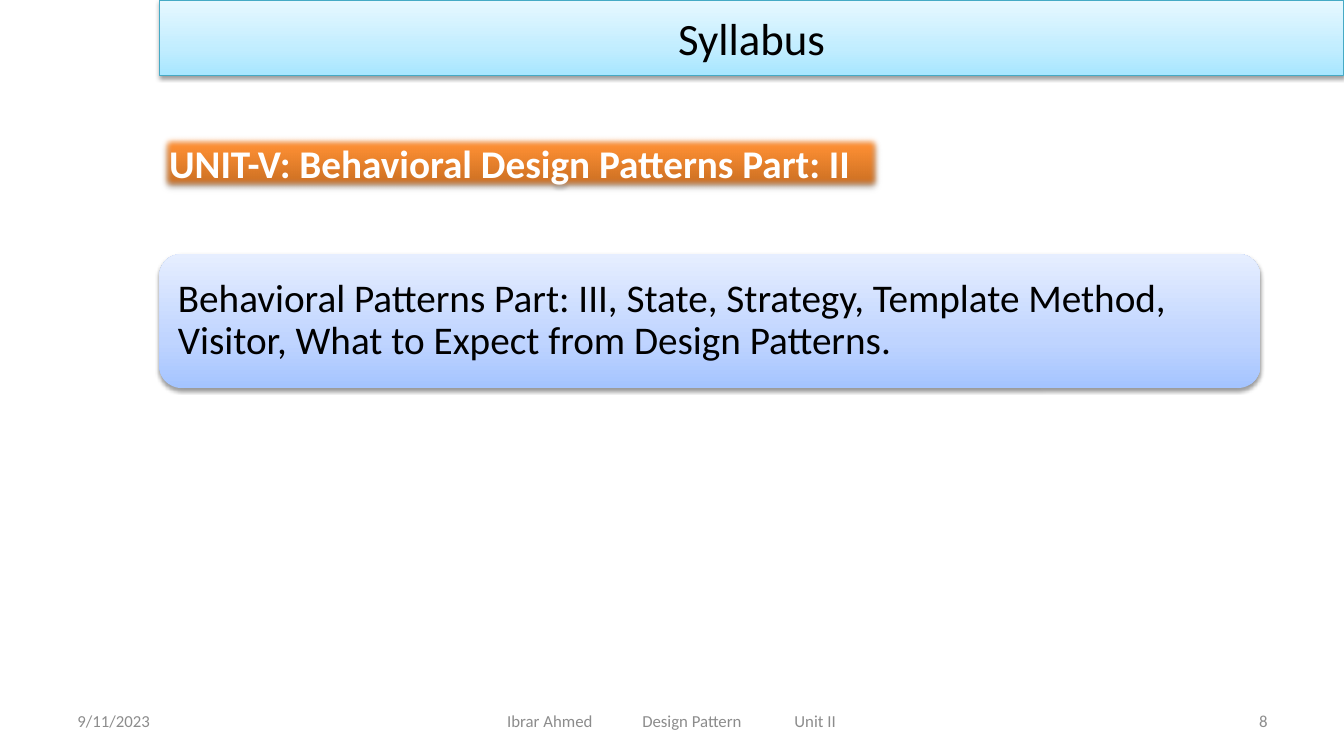
from lxml import etree
from pptx import Presentation
from pptx.dml.color import RGBColor
from pptx.enum.shapes import MSO_SHAPE
from pptx.enum.text import MSO_ANCHOR, PP_ALIGN
from pptx.oxml.ns import qn
from pptx.util import Inches, Pt

BLACK = RGBColor(0x00, 0x00, 0x00)
WHITE = RGBColor(0xFF, 0xFF, 0xFF)
GRAY = RGBColor(0x8C, 0x8C, 0x8C)
TEAL = RGBColor(0x46, 0xAA, 0xC5)
# Gradient stops run from the bottom edge to the top: (percent, colour)
AQUA = [(0, RGBColor(0xA7, 0xE6, 0xFF)), (35, RGBColor(0xC1, 0xED, 0xFF)),
        (100, RGBColor(0xE7, 0xF8, 0xFF))]
ORANGE = [(0, RGBColor(0xC2, 0x69, 0x1F)), (80, RGBColor(0xFF, 0x90, 0x34)),
          (100, RGBColor(0xFF, 0x91, 0x36))]
BLUE = [(0, RGBColor(0xA4, 0xC4, 0xFF)), (35, RGBColor(0xBF, 0xD4, 0xFF)),
        (100, RGBColor(0xE6, 0xEE, 0xFF))]
RECT, ROUNDED = MSO_SHAPE.RECTANGLE, MSO_SHAPE.ROUNDED_RECTANGLE
MIDDLE, TOP = MSO_ANCHOR.MIDDLE, MSO_ANCHOR.TOP
LEFT, CENTER, RIGHT = PP_ALIGN.LEFT, PP_ALIGN.CENTER, PP_ALIGN.RIGHT
JUSTIFY = PP_ALIGN.JUSTIFY


def write(sp, text, size, color, align, anchor=MIDDLE):
    tf = sp.text_frame
    tf.word_wrap = True
    tf.vertical_anchor = anchor
    p = tf.paragraphs[0]
    p.text = text
    p.alignment = align
    p.font.name = "Calibri"
    p.font.size = Pt(size)
    p.font.color.rgb = color
    return p


def add_panel(kind, box, stops, alpha, distance):
    sp = s.shapes.add_shape(kind, *[Inches(v) for v in box])
    sp.line.fill.background()
    sp.fill.gradient()
    sp.fill.gradient_angle = 90
    gs_list = sp._element.spPr.find(".//" + qn("a:gsLst"))
    gs_list.clear()
    for percent, color in stops:
        gs = etree.SubElement(gs_list, qn("a:gs"), pos=str(percent * 1000))
        etree.SubElement(gs, qn("a:srgbClr"), val=str(color))
    sp.shadow.inherit = False
    effects = sp._element.spPr.find(qn("a:effectLst"))
    shadow = etree.SubElement(effects, qn("a:outerShdw"), blurRad=str(Pt(3.1)),
                              dist=str(Pt(distance)), dir="5400000", rotWithShape="0")
    color = etree.SubElement(shadow, qn("a:srgbClr"), val=str(BLACK))
    etree.SubElement(color, qn("a:alpha"), val=str(alpha * 1000))
    return sp, effects


prs = Presentation()
prs.slide_width, prs.slide_height = Inches(13.33), Inches(7.5)
s = prs.slides.add_slide(prs.slide_layouts[6])

# Title bar
title, _ = add_panel(RECT, (1.58, 0, 11.75, 0.75), AQUA, 38, 1.6)
title.line.color.rgb = TEAL
title.line.width = Pt(0.75)
write(title, "Syllabus", 32, BLACK, CENTER)

# Unit heading with soft edges
unit, effects = add_panel(RECT, (1.58, 1.33, 7.17, 0.57), ORANGE, 35, 1.8)
etree.SubElement(effects, qn("a:softEdge"), rad=str(Pt(5)))
p = write(unit, "UNIT-V: Behavioral Design Patterns Part: II ", 28, WHITE, JUSTIFY, TOP)
p.font.bold = True

# Topics card
card, _ = add_panel(ROUNDED, (1.58, 2.52, 10.92, 1.33), BLUE, 38, 1.6)
card.text_frame.margin_left = card.text_frame.margin_right = Inches(0.12)
p = write(card, "Behavioral Patterns Part: III, State, Strategy, Template Method, "
          "Visitor, What to Expect from Design Patterns.", 28, BLACK, LEFT)
p.line_spacing = 0.9

# Footer: date, course, slide number
for left, width, text, align in [
    (0.67, 3.11, "9/11/2023", LEFT),
    (4.56, 4.22, "Ibrar Ahmed\tDesign Pattern\tUnit II", LEFT),
    (9.56, 3.11, "8", RIGHT),
]:
    footer = s.shapes.add_textbox(Inches(left), Inches(6.95), Inches(width), Inches(0.4))
    p = write(footer, text, 12, GRAY, align)
    if "\t" in text:
        footer.text_frame.margin_left = Inches(0.47)
        tabs = etree.Element(qn("a:tabLst"))
        for stop in (1.34, 2.85):
            etree.SubElement(tabs, qn("a:tab"), pos=str(Inches(stop)), algn="l")
        p._p.get_or_add_pPr().insert(0, tabs)

prs.save("out.pptx")
